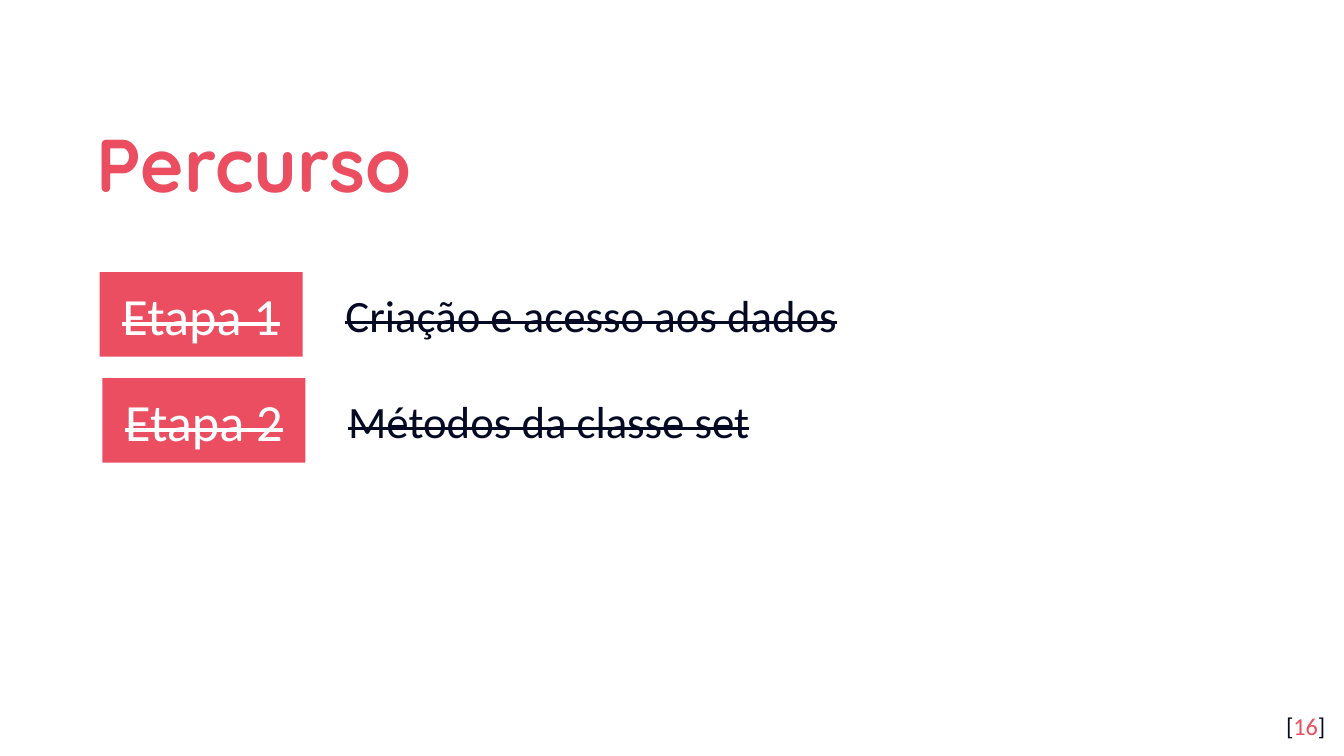
from dataclasses import dataclass

from pptx import Presentation
from pptx.dml.color import RGBColor as Rgb
from pptx.enum.shapes import MSO_SHAPE as Preset
from pptx.enum.text import MSO_ANCHOR as Anchor, PP_ALIGN as Align
from pptx.util import Inches, Pt


@dataclass(frozen=True)
class Theme:
    coral: Rgb = Rgb(0xEA, 0x4E, 0x60)
    navy: Rgb = Rgb(0x04, 0x0A, 0x24)
    white: Rgb = Rgb(0xFF, 0xFF, 0xFF)
    heading_font: str = "Quicksand"
    body_font: str = "Calibri"
    heading_size: int = 40
    badge_size: int = 28
    topic_size: int = 24
    number_size: int = 13


def write(paragraph, text, *, font, size, color, bold=False, strike=False):
    run = paragraph.add_run()
    run.text = text
    run.font.name = font
    run.font.size = Pt(size)
    run.font.bold = bold
    run.font.color.rgb = color
    if strike:
        run._r.get_or_add_rPr().set("strike", "sngStrike")


def indent(paragraph, margin, first_line):
    properties = paragraph._p.get_or_add_pPr()
    properties.set("marL", str(Inches(margin)))
    properties.set("indent", str(Inches(first_line)))


class StageSlide:
    def __init__(self, deck, theme):
        self.theme = theme
        self.unit = deck.slide_width / 100
        self.slide = deck.slides.add_slide(deck.slide_layouts[5])
        self.slide.background.fill.solid()
        self.slide.background.fill.fore_color.rgb = theme.white

    def box(self, *cells):
        return [round(cell * self.unit) for cell in cells]

    def frame(self, shape, anchor=Anchor.TOP, align=Align.LEFT, inset=0.1):
        frame = shape.text_frame
        frame.word_wrap = True
        frame.vertical_anchor = anchor
        frame.margin_left = frame.margin_right = Inches(0.1)
        frame.margin_top = frame.margin_bottom = Inches(inset)
        paragraph = frame.paragraphs[0]
        paragraph.alignment = align
        return paragraph

    def title(self, text, *cells):
        heading = self.slide.shapes.title
        heading.left, heading.top, heading.width, heading.height = self.box(*cells)
        paragraph = self.frame(heading, Anchor.MIDDLE)
        paragraph.line_spacing = 1.15
        write(paragraph, text, font=self.theme.heading_font,
              size=self.theme.heading_size, color=self.theme.coral, bold=True)

    def badge(self, text, *cells):
        badge = self.slide.shapes.add_shape(Preset.RECTANGLE, *self.box(*cells))
        badge.shadow.inherit = False
        badge.fill.solid()
        badge.fill.fore_color.rgb = self.theme.coral
        badge.line.fill.background()
        paragraph = self.frame(badge, Anchor.MIDDLE, Align.CENTER)
        paragraph.level = 1
        indent(paragraph, 0, 0)
        write(paragraph, text, font=self.theme.body_font,
              size=self.theme.badge_size, color=self.theme.white, strike=True)

    def topic(self, text, *cells):
        topic = self.slide.shapes.add_textbox(*self.box(*cells))
        paragraph = self.frame(topic, inset=0.05)
        indent(paragraph, 0.5, -0.5)
        write(paragraph, text, font=self.theme.body_font,
              size=self.theme.topic_size, color=self.theme.navy, strike=True)

    def page_number(self, number, *cells):
        corner = self.slide.shapes.add_textbox(*self.box(*cells))
        paragraph = self.frame(corner, align=Align.RIGHT)
        for text, color in (("[", self.theme.navy), (number, self.theme.coral),
                            ("]", self.theme.navy)):
            write(paragraph, text, font=self.theme.body_font,
                  size=self.theme.number_size, color=color)


def main():
    deck = Presentation()
    deck.slide_width = Inches(10)
    deck.slide_height = deck.slide_width * 9 // 16
    page = StageSlide(deck, Theme())
    page.title("Percurso", 6.2, 7, 81, 9.2)
    page.page_number("16", 93.6, 51.95, 6, 4.3)

    stages = ("Criação e acesso aos dados", "Métodos da classe set")
    for index, topic in enumerate(stages):
        left, top = 7.42 + 0.2 * index, 20.25 + 7.88 * index
        page.badge(f"Etapa {index + 1}", left, top, 15.1, 6.3)
        page.topic(topic, left + 17.3, top + 0.65, 67.5, 5)

    deck.save("out.pptx")


if __name__ == "__main__":
    main()
